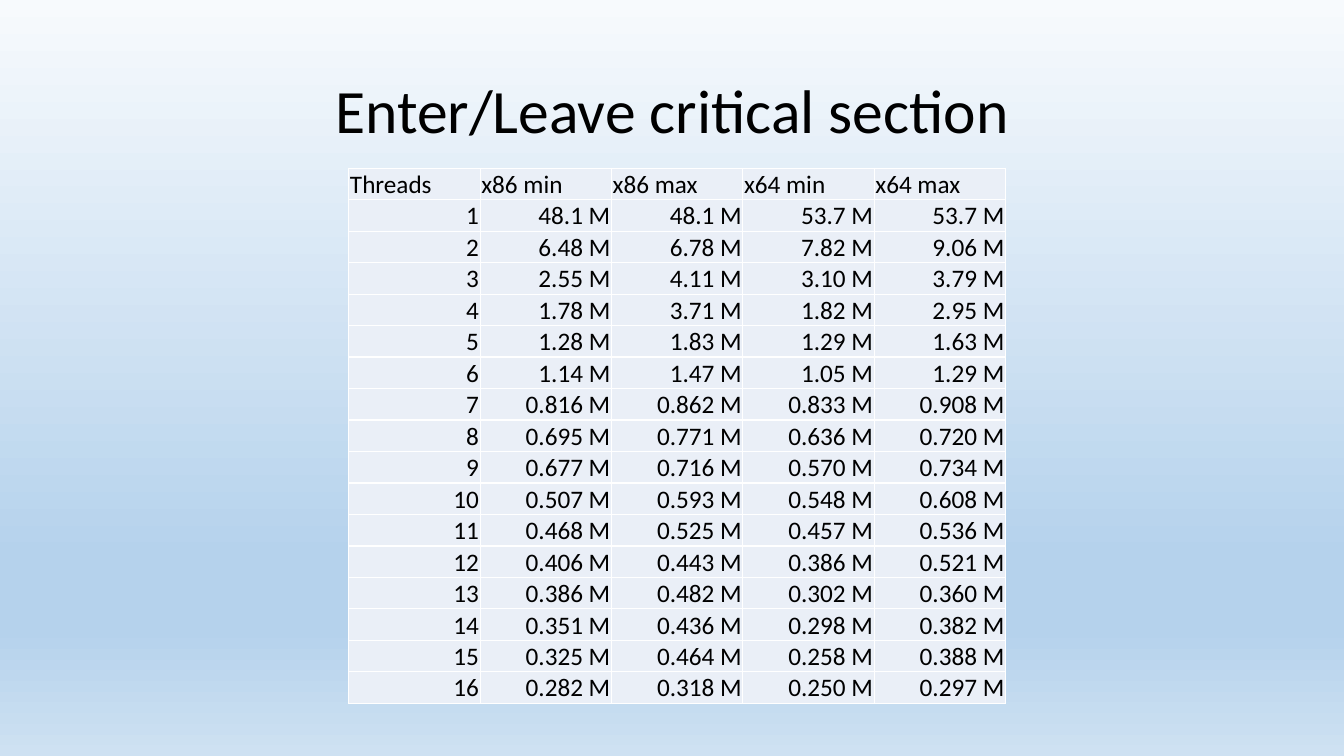
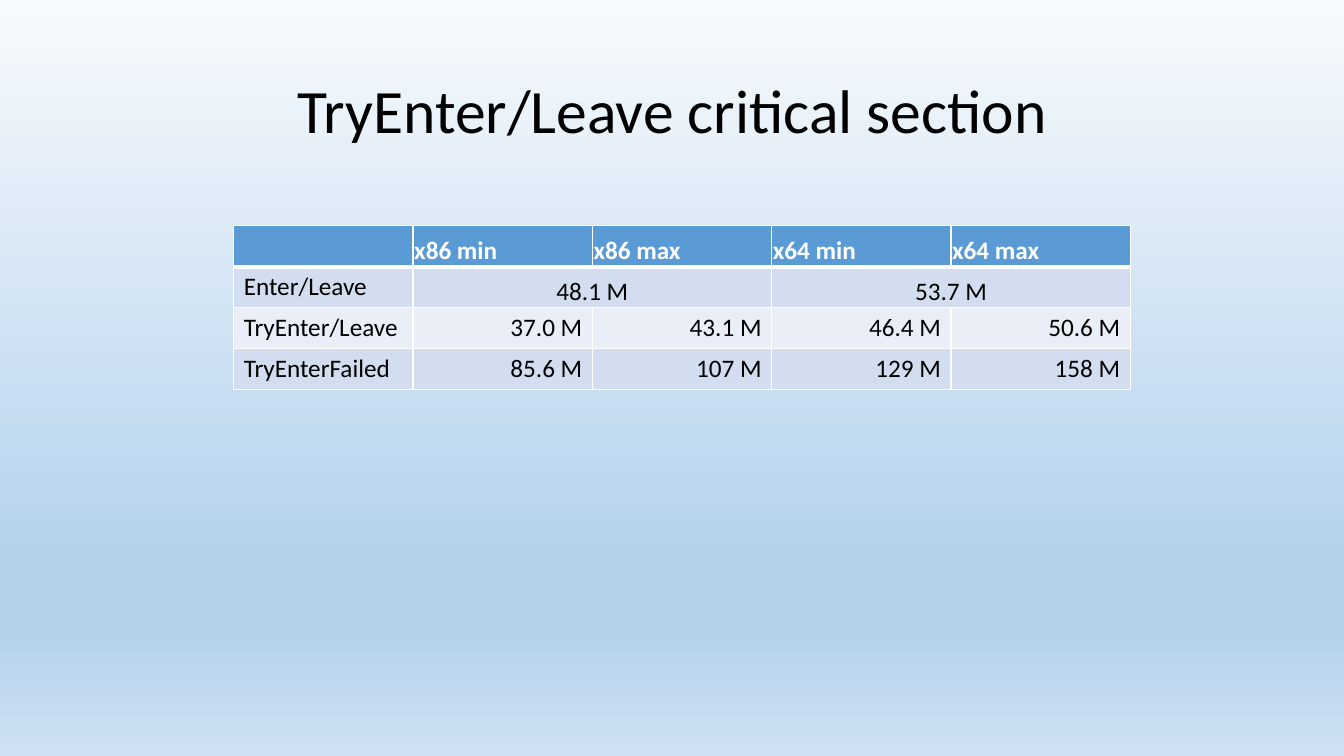
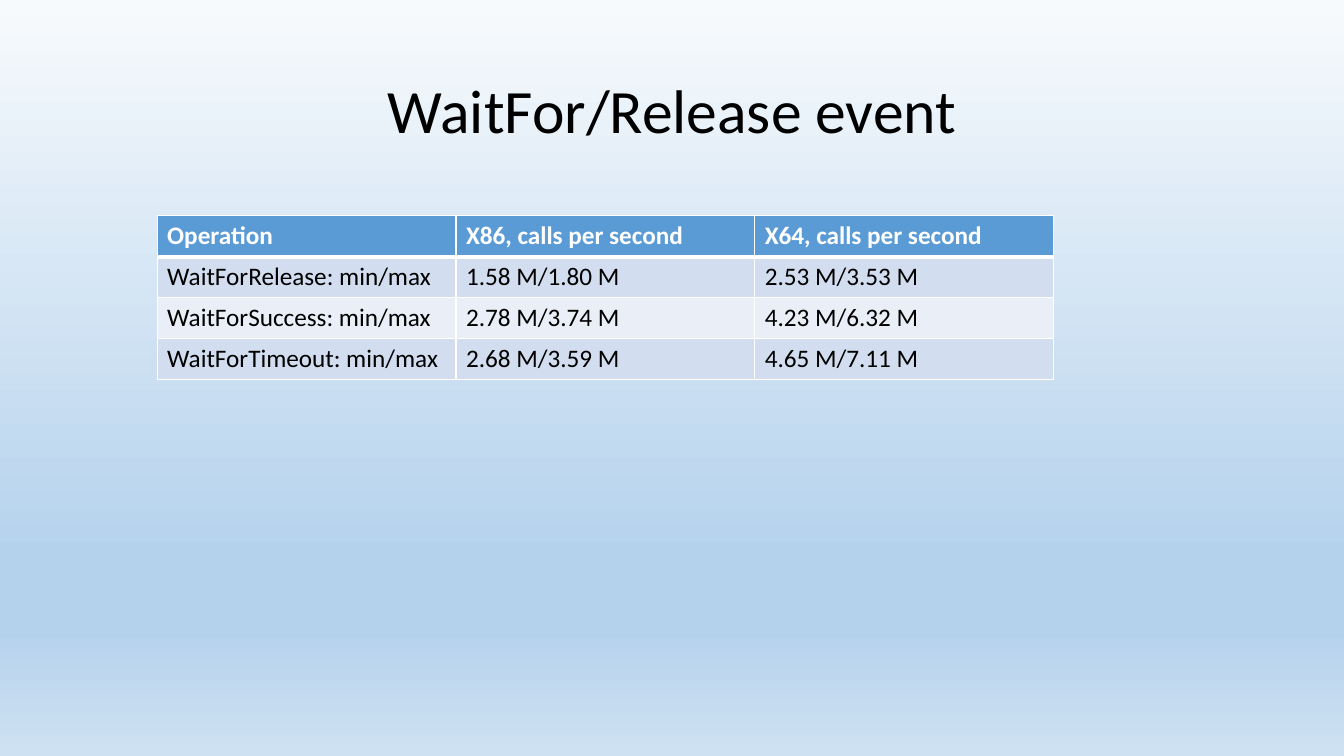
from lxml import etree
from pptx import Presentation
from pptx.dml.color import RGBColor
from pptx.enum import text as t
from pptx.oxml import ns
from pptx.util import Cm, Pt

BLACK = RGBColor(0, 0, 0)
WHITE = RGBColor(255, 255, 255)
BLUE = RGBColor(0x5B, 0x9B, 0xD5)
MID = RGBColor(0xD2, 0xDE, 0xEF)
PALE = RGBColor(0xEA, 0xEF, 0xF7)
SKY = [
    (0, RGBColor(0xF7, 0xFA, 0xFD)),
    (74, RGBColor(0xB5, 0xD2, 0xEC)),
    (83, RGBColor(0xB5, 0xD2, 0xEC)),
    (100, RGBColor(0xCE, 0xE1, 0xF2)),
]
LEFT, MIDDLE, RIGHT = t.PP_ALIGN.LEFT, t.PP_ALIGN.CENTER, t.PP_ALIGN.RIGHT
BOTTOM = t.MSO_ANCHOR.BOTTOM
TIGHT = dict(margin_left=Cm(0.03), margin_right=Cm(0.03), margin_top=Cm(0.03),
             margin_bottom=0, vertical_anchor=BOTTOM)


def write(para, words, align, **form):
    """Put words in a paragraph as one formatted run."""
    para.alignment = align
    run = para.add_run()
    run.text = words
    color = form.pop("color")
    for key, value in dict(name="Calibri", **form).items():
        setattr(run.font, key, value)
    run.font.color.rgb = color


def edge(cell, side, width):
    """Draw one white cell border, width in points."""
    line = etree.SubElement(cell._tc.get_or_add_tcPr(), ns.qn("a:ln" + side),
                            w=str(Pt(width)))
    fill = etree.SubElement(line, ns.qn("a:solidFill"))
    etree.SubElement(fill, ns.qn("a:srgbClr"), val=str(WHITE))


LIMITS = ["x86 min", "x86 max", "x64 min", "x64 max"]
# Calls per second in millions, one line for each thread count
SPEEDS = """48.1 48.1 53.7 53.7
6.48 6.78 7.82 9.06
2.55 4.11 3.10 3.79
1.78 3.71 1.82 2.95
1.28 1.83 1.29 1.63
1.14 1.47 1.05 1.29
0.816 0.862 0.833 0.908
0.695 0.771 0.636 0.720
0.677 0.716 0.570 0.734
0.507 0.593 0.548 0.608
0.468 0.525 0.457 0.536
0.406 0.443 0.386 0.521
0.386 0.482 0.302 0.360
0.351 0.436 0.298 0.382
0.325 0.464 0.258 0.388
0.282 0.318 0.250 0.297""".splitlines()
threads = [[str(num)] + [speed + " M" for speed in line.split()]
           for num, line in enumerate(SPEEDS, 1)]

# "tight" counts the rows with narrow margins; None joins a cell to its left one
PAGES = [
    dict(title="Enter/Leave critical section", left=8.79, top=4.24,
         wide=3.31, high=0.79, tight=17, head=False, aligns=[RIGHT] * 5,
         rows=[["Threads"] + LIMITS] + threads),
    dict(title="TryEnter/Leave critical section", left=5.89, top=5.69,
         wide=4.52, high=1.03, tight=1, head=True, aligns=[LEFT] + [RIGHT] * 4,
         rows=[
             [""] + LIMITS,
             ["Enter/Leave", "48.1 M", None, "53.7 M", None],
             ["TryEnter/Leave", "37.0 M", "43.1 M", "46.4 M", "50.6 M"],
             ["TryEnterFailed", "85.6 M", "107 M", "129 M", "158 M"],
         ]),
    dict(title="WaitFor/Release event", left=3.96, top=5.44,
         wide=7.53, high=1.03, tight=0, head=True, aligns=[LEFT] * 3,
         rows=[
             ["Operation", "X86, calls per second", "X64, calls per second"],
             ["WaitForRelease: min/max", "1.58 M/1.80 M", "2.53 M/3.53 M"],
             ["WaitForSuccess: min/max", "2.78 M/3.74 M", "4.23 M/6.32 M"],
             ["WaitForTimeout: min/max", "2.68 M/3.59 M", "4.65 M/7.11 M"],
         ]),
]

prs = Presentation()
prs.slide_width, prs.slide_height = Cm(33.87), Cm(19.05)

# Shared background on the master
back = prs.slide_master.background
back.fill.gradient()
back.fill.gradient_angle = 270
stops = next(prs.slide_master.element.iter(ns.qn("a:gsLst")))
for stop in list(stops):
    stops.remove(stop)
for place, color in SKY:
    stop = etree.SubElement(stops, ns.qn("a:gs"), pos=str(place * 1000))
    etree.SubElement(stop, ns.qn("a:srgbClr"), val=str(color))

for page in PAGES:
    slide = prs.slides.add_slide(prs.slide_layouts[6])
    frame = slide.shapes.add_textbox(Cm(2.34), Cm(1.02), Cm(29.21), Cm(3.68)).text_frame
    frame.word_wrap = True
    frame.vertical_anchor = t.MSO_ANCHOR.MIDDLE
    title = frame.paragraphs[0]
    title.line_spacing = 0.9
    write(title, page["title"], MIDDLE, size=Pt(44), color=BLACK)

    rows, aligns, wide, high = (page[key] for key in ("rows", "aligns", "wide", "high"))
    table = slide.shapes.add_table(
        len(rows), len(aligns), Cm(page["left"]), Cm(page["top"]),
        Cm(wide * len(aligns)), Cm(high * len(rows))).table
    table.first_row = page["head"]
    for col in table.columns:
        col.width = Cm(wide)
    for r, row in enumerate(rows):
        table.rows[r].height = Cm(high)
        head = page["head"] and r == 0
        if head:
            shade = BLUE
        else:
            shade = MID if page["head"] and r % 2 else PALE
        for c, words in enumerate(row):
            cell = table.cell(r, c)
            for side in "LRTB":
                thick = page["head"] and (r, side) in [(0, "B"), (1, "T")]
                edge(cell, side, 3 if thick else 1)
            cell.fill.solid()
            cell.fill.fore_color.rgb = shade
            joined = words is not None and None in row[c + 1:c + 2]
            if joined:
                cell.merge(table.cell(r, c + 1))
            if joined or r < page["tight"]:
                for key, value in TIGHT.items():
                    setattr(cell, key, value)
            if words:
                align = MIDDLE if joined else aligns[c] if r else LEFT
                write(cell.text_frame.paragraphs[0], words, align, size=Pt(18),
                      bold=head, color=WHITE if head else BLACK)

prs.save("out.pptx")
